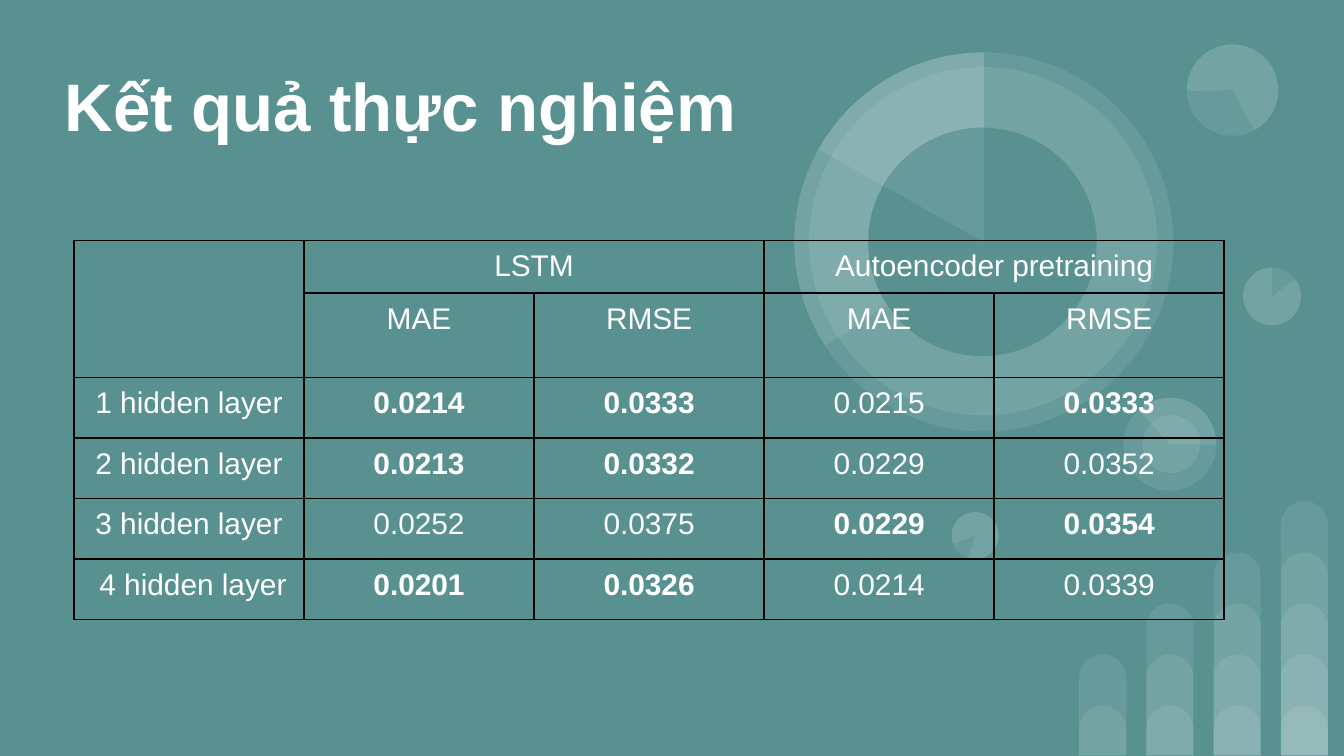
"""Build the experimental results slide with its error table."""
from lxml.etree import SubElement
from pptx import Presentation
from pptx.dml.color import RGBColor
from pptx.enum.shapes import MSO_SHAPE
from pptx.enum.text import MSO_ANCHOR, PP_ALIGN
from pptx.oxml import parse_xml
from pptx.oxml.ns import nsdecls, qn
from pptx.util import Inches, Pt

TEAL = RGBColor(0x59, 0x91, 0x91)
WHITE = RGBColor(0xFF, 0xFF, 0xFF)
BLACK = RGBColor(0x00, 0x00, 0x00)
OVAL, PIE = MSO_SHAPE.OVAL, MSO_SHAPE.PIE


def add_decoration(page, kind, left, top, width, height, color=WHITE, turn=0, adjustments=()):
    shape = page.shapes.add_shape(kind, Inches(left), Inches(top), Inches(width), Inches(height))
    shape.shadow.inherit = False
    shape.rotation = turn
    shape.line.fill.background()
    shape.fill.solid()
    shape.fill.fore_color.rgb = color
    for index, value in enumerate(adjustments):
        shape.adjustments[index] = value
    if color == WHITE:
        tint = shape.element.spPr.find(qn("a:solidFill"))[0]
        SubElement(tint, qn("a:alpha"), val="9000")


def style_text(paragraph, text, size, bold, align):
    span = paragraph.add_run()
    span.text = text
    paragraph.alignment = align
    for name, value in {"name": "Arial", "size": Pt(size), "bold": bold}.items():
        setattr(span.font, name, value)
    span.font.color.rgb = WHITE


deck = Presentation()
deck.slide_width = Inches(10)
deck.slide_height = deck.slide_width * 9 // 16
page = deck.slides.add_slide(deck.slide_layouts[5])
page.background.fill.solid()
page.background.fill.fore_color.rgb = TEAL

for column in range(4):
    for level in range(column + 2):
        height = 0.37 + 0.38 * level
        add_decoration(page, MSO_SHAPE.ROUND_2_SAME_RECTANGLE, 8.03 + 0.5 * column,
                       5.62 - height, 0.35, height, adjustments=(0.5, 0))

discs = [
    (OVAL, 9.25, 1.99, 0.43, 0, ()),
    (PIE, 9.25, 1.99, 0.43, 0, (193.77, 162)),
    (OVAL, 7.08, 3.81, 0.35, 196.2, ()),
    (PIE, 7.08, 3.81, 0.35, 196.2, (193.77, 162)),
    (OVAL, 8.36, 2.96, 0.69, 90, ()),
    (PIE, 8.36, 2.96, 0.69, 90, (82.45, 162.46)),
    (OVAL, 8.5, 3.09, 0.43, 90, ()),
    (OVAL, 8.83, 0.33, 0.68, 215.9, ()),
    (PIE, 8.83, 0.33, 0.68, 215.9, (193.77, 123.14)),
    (OVAL, 5.91, 0.39, 2.82, 0, ()),
    (OVAL, 6.02, 0.5, 2.59, 34.1, ()),
    (PIE, 5.91, 0.39, 2.82, 0, (88.01, 162)),
]
for kind, left, top, size, turn, angles in discs:
    add_decoration(page, kind, left, top, size, size, turn=turn, adjustments=angles)
add_decoration(page, OVAL, 6.46, 0.95, 1.7, 1.7, TEAL, 34.1)
add_decoration(page, PIE, 5.91, 0.39, 2.82, 2.82, adjustments=(125.54, 162))

title = page.shapes.title
title.element.getparent().append(title.element)
for name, value in {"left": 0.38, "top": 0.17, "width": 9.27, "height": 1.21}.items():
    setattr(title, name, Inches(value))
frame = title.text_frame
frame.word_wrap = True
frame.vertical_anchor = MSO_ANCHOR.MIDDLE
for side in ("left", "right", "top", "bottom"):
    setattr(frame, f"margin_{side}", Inches(0.1))
style_text(frame.paragraphs[0], "Kết quả thực nghiệm", 36, True, PP_ALIGN.LEFT)

rows = [
    ["", "LSTM", "", "Autoencoder pretraining", ""],
    ["", "MAE", "RMSE", "MAE", "RMSE"],
    ["1 hidden layer", "0.0214", "0.0333", "0.0215", "0.0333"],
    ["2 hidden layer", "0.0213", "0.0332", "0.0229", "0.0352"],
    ["3 hidden layer", "0.0252", "0.0375", "0.0229", "0.0354"],
    ["4 hidden layer", "0.0201", "0.0326", "0.0214", "0.0339"],
]
bold_cells = {(2, 1), (2, 2), (2, 4), (3, 1), (3, 2), (4, 3), (4, 4), (5, 1), (5, 2)}
row_heights = [0.39, 0.63] + [0.45] * 4
table_width = Inches(8.56)
table = page.shapes.add_table(len(rows), 5, Inches(0.55), Inches(1.79),
                              table_width, Inches(sum(row_heights))).table
table.first_row = table.horz_banding = False
for column in table.columns:
    column.width = table_width // 5
for row, height in zip(table.rows, row_heights):
    row.height = Inches(height)

for row, texts in enumerate(rows):
    for column, text in enumerate(texts):
        cell = table.cell(row, column)
        for side in ("left", "right", "top", "bottom"):
            setattr(cell, f"margin_{side}", Inches(0.07))
        properties = cell._tc.get_or_add_tcPr()
        for edge in ("lnL", "lnR", "lnT", "lnB"):
            properties.append(parse_xml(
                f'<a:{edge} {nsdecls("a")} w="{Pt(1)}"><a:solidFill>'
                f'<a:srgbClr val="{BLACK}"/></a:solidFill></a:{edge}>'))
        cell.fill.background()
        if text:
            style_text(cell.text_frame.paragraphs[0], text, 16,
                       (row, column) in bold_cells, PP_ALIGN.CENTER)

last_label = table.cell(5, 0)
last_label.margin_left = Inches(0.19)
last_label.text_frame.paragraphs[0].alignment = PP_ALIGN.LEFT
for first, last in [((0, 0), (1, 0)), ((0, 1), (0, 2)), ((0, 3), (0, 4))]:
    table.cell(*first).merge(table.cell(*last))

deck.save("out.pptx")
